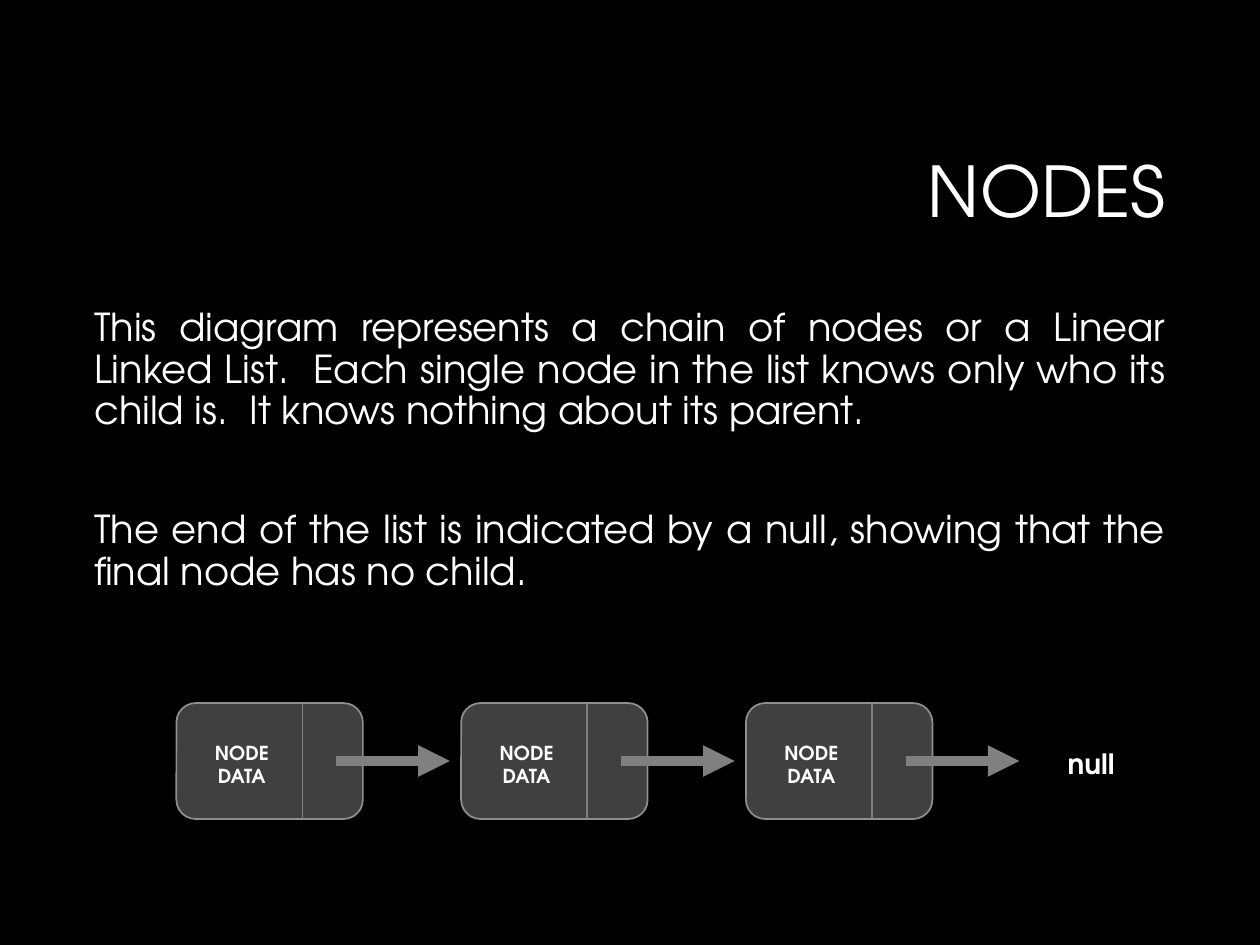
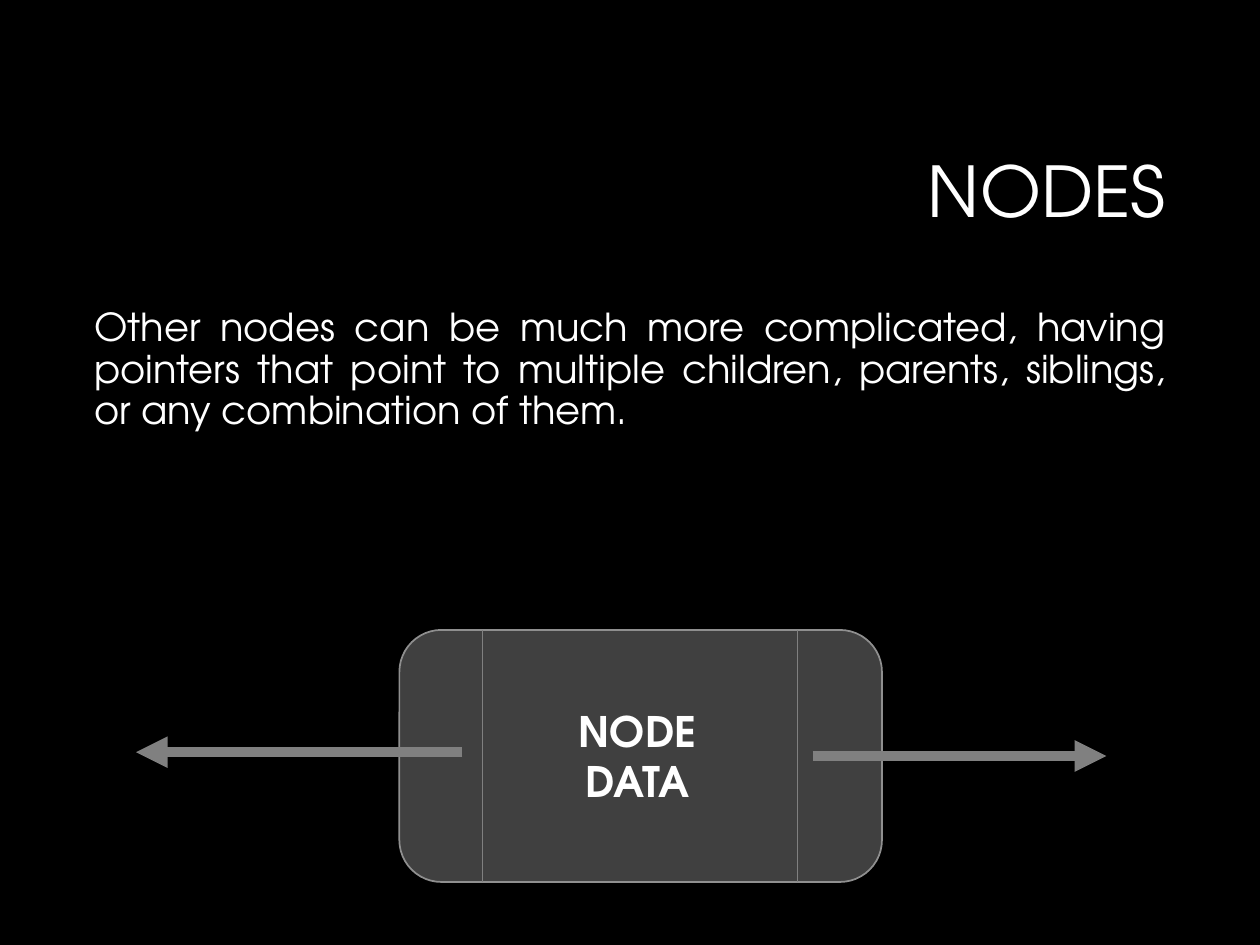
from pptx import Presentation
from pptx import util as u
from pptx.dml.color import RGBColor
from pptx.enum import shapes, text
from pptx.oxml.ns import qn
from lxml import etree

WHITE = RGBColor(0xFF, 0xFF, 0xFF)
BLACK = RGBColor(0, 0, 0)
NODE_FILL = RGBColor(0x40, 0x40, 0x40)
NODE_EDGE = RGBColor(0x8F, 0x8F, 0x8F)
POINTER = RGBColor(0x80, 0x80, 0x80)
FONT = "TeX Gyre Adventor"

WIDTH, HEIGHT = 10, 7.5
MARGIN = 0.65
TITLE_BOX = (2.38, 0.84, 6.97, 1.41)
BODY_TOP = 2.4
PARAGRAPH_GAPS = (10, 44)
CHAIN_LEFT, CHAIN_STEP, CHAIN_COUNT = 1.4, 2.26, 3

SMALL_NODE = dict(top=5.58, width=1.48, height=0.92, dividers=[1.0],
                  pointers=[(1.27, 2.17, 0.46)], label=(0.15, 0.25, 0.74, 0.32), size=11)
LARGE_NODE = dict(top=5, width=3.83, height=2, dividers=[0.66, 3.16],
                  pointers=[(0.5, -2.09, 0.97), (3.28, 5.61, 1)],
                  label=(0.93, 0.55, 1.92, 0.91), size=24)

SLIDES = [
    dict(
        title="NODES",
        body=[
            "This diagram represents a chain of nodes or a Linear Linked List.  Each single node "
            "in the list knows only who its child is.  It knows nothing about its parent.",
            "The end of the list is indicated by a null, showing that the final node has no child.",
        ],
        body_height=2.85,
        node=SMALL_NODE,
        lefts=[CHAIN_LEFT + CHAIN_STEP * i for i in range(CHAIN_COUNT)],
        end=("null", (8.29, 5.88, 0.74, 0.37), 16),
    ),
    dict(
        title="NODES",
        body=[
            "Other nodes can be much more complicated, having pointers that point to multiple "
            "children, parents, siblings, or any combination of them.",
        ],
        body_height=1.85,
        node=LARGE_NODE,
        lefts=[3.17],
        end=None,
    ),
]


def inches(*lengths):
    return [u.Inches(length) for length in lengths]


def write(box, lines, size, align, bold=False, spacing=None, gaps=()):
    frame = box.text_frame
    frame.word_wrap = True
    frame.text = "\n".join(lines)
    for para in frame.paragraphs:
        para.alignment = align
        para.line_spacing = spacing
        font = para.font
        font.name, font.size, font.bold = FONT, u.Pt(size), bold
        font.color.rgb = WHITE
    for para, gap in zip(frame.paragraphs, gaps):
        para.space_before = u.Pt(gap)


def add_label(parent, lines, place, size):
    box = parent.add_textbox(*inches(*place))
    write(box, lines, size, text.PP_ALIGN.CENTER, bold=True)


def add_line(parent, start, end, weight, arrow=False):
    line = parent.add_connector(shapes.MSO_CONNECTOR.STRAIGHT, *inches(*start, *end))
    line.line.color.rgb = POINTER
    line.line.width = u.Pt(weight)
    if arrow:
        etree.SubElement(line.line._get_or_add_ln(), qn("a:tailEnd"), type="triangle")
    etree.SubElement(line._element.spPr, qn("a:effectLst"))


def add_node(page, left, node):
    parts = page.shapes.add_group_shape().shapes
    top, height = node["top"], node["height"]
    box = parts.add_shape(shapes.MSO_SHAPE.ROUNDED_RECTANGLE,
                          *inches(left, top, node["width"], height))
    box.shadow.inherit = False
    box.fill.solid()
    box.fill.fore_color.rgb = NODE_FILL
    box.line.color.rgb = NODE_EDGE
    box.line.width = u.Pt(1)
    for x in node["dividers"]:
        add_line(parts, (left + x, top), (left + x, top + height), 0.75)
    for start, end, y in node["pointers"]:
        add_line(parts, (left + start, top + y), (left + end, top + y), 6, arrow=True)
    x, y, width, label_height = node["label"]
    add_label(parts, ["NODE", "DATA"], (left + x, top + y, width, label_height), node["size"])


def add_page(deck, content):
    page = deck.slides.add_slide(deck.slide_layouts[5])
    title = page.shapes.title
    title.left, title.top, title.width, title.height = inches(*TITLE_BOX)
    write(title, [content["title"]], 40, text.PP_ALIGN.RIGHT, spacing=0.9)
    title.text_frame.vertical_anchor = text.MSO_ANCHOR.MIDDLE
    body = page.shapes.add_textbox(
        *inches(MARGIN, BODY_TOP, WIDTH - 2 * MARGIN, content["body_height"]))
    write(body, content["body"], 22, text.PP_ALIGN.JUSTIFY, spacing=0.9, gaps=PARAGRAPH_GAPS)
    for left in content["lefts"]:
        add_node(page, left, content["node"])
    if content["end"]:
        word, place, size = content["end"]
        add_label(page.shapes, [word], place, size)


def main():
    deck = Presentation()
    deck.slide_width, deck.slide_height = inches(WIDTH, HEIGHT)
    fill = deck.slide_master.background.fill
    fill.solid()
    fill.fore_color.rgb = BLACK
    for content in SLIDES:
        add_page(deck, content)
    deck.save("out.pptx")


if __name__ == "__main__":
    main()
